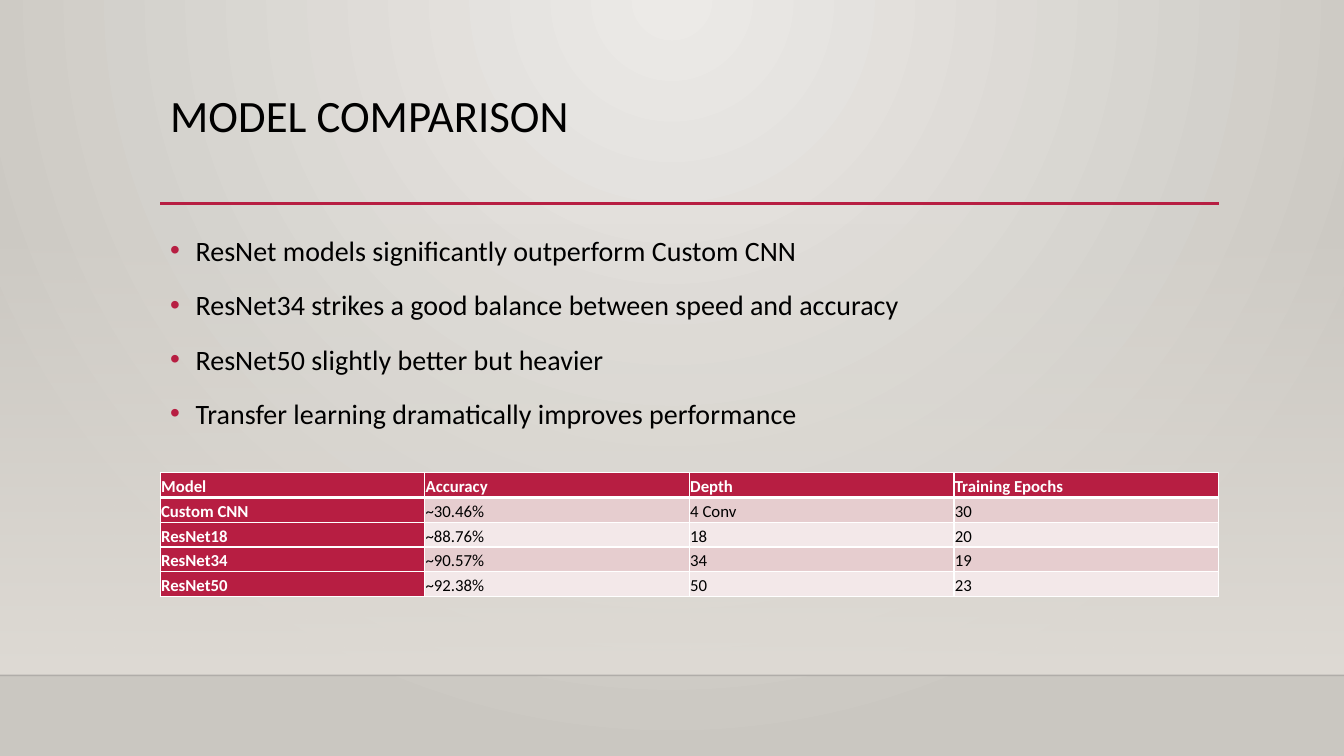
"""Build the model comparison slide with its bullet list and score table."""
import lxml.etree
import pptx
import pptx.dml.color
import pptx.enum.shapes
import pptx.enum.text
import pptx.oxml
import pptx.oxml.ns
import pptx.util
from pptx.util import Cm

HUES = {
    "red": "B71E42", "black": "000000", "white": "FFFFFF", "edge": "000001",
    "glow": "ECEAE7", "stone": "CAC7C1", "haze": "DFDBD5",
    "rose": "E6CDCF", "blush": "F3E8E9",
}
FONT = "Calibri"
LEFT, WIDTH = Cm(4.04), Cm(26.67)
POINTS = [
    "ResNet models significantly outperform Custom CNN",
    "ResNet34 strikes a good balance between speed and accuracy",
    "ResNet50 slightly better but heavier",
    "Transfer learning dramatically improves performance",
]
SCORES = [
    ["Model", "Accuracy", "Depth", "Training Epochs"],
    ["Custom CNN", "~30.46%", "4 Conv", "30"],
    ["ResNet18", "~88.76%", "18", "20"],
    ["ResNet34", "~90.57%", "34", "19"],
    ["ResNet50", "~92.38%", "50", "23"],
]


def rgb(hue):
    return pptx.dml.color.RGBColor.from_string(HUES[hue])


def node(tag, inner="", attrs=""):
    space = pptx.oxml.ns.nsdecls("a")
    return pptx.oxml.parse_xml(f"<a:{tag} {space} {attrs}>{inner}</a:{tag}>")


def tint(hue, alpha=100):
    return f'<a:srgbClr val="{HUES[hue]}"><a:alpha val="{alpha * 1000}"/></a:srgbClr>'


def blend(owner, first, last, shade):
    """Swap the solid fill of an owner for a gradient of two colours."""
    solid = owner.find(pptx.oxml.ns.qn("a:solidFill"))
    stops = f'<a:gs pos="0">{first}</a:gs><a:gs pos="100000">{last}</a:gs>'
    owner.replace(solid, node("gradFill", f"<a:gsLst>{stops}</a:gsLst>{shade}",
                              'rotWithShape="1"'))


def add_back(slide):
    slide.background.fill.solid()
    slide.background.fill.fore_color.rgb = rgb("stone")
    owner = slide.element.find(".//" + pptx.oxml.ns.qn("p:bgPr"))
    blend(owner, tint("glow"), tint("stone"),
          '<a:path path="circle"><a:fillToRect l="43000" r="43000" b="100000"/></a:path>')


def add_haze(slide, top, wide, high):
    kind = pptx.enum.shapes.MSO_SHAPE.RECTANGLE
    shape = slide.shapes.add_shape(kind, 0, top, wide, high)
    shape.shadow.inherit = False
    shape.line.fill.background()
    shape.fill.solid()
    shape.fill.fore_color.rgb = rgb("haze")
    blend(shape.element.spPr, tint("haze", 0), tint("haze"), '<a:lin ang="5400000"/>')


def add_rule(slide, left, right, y, hue, size, alpha=100):
    kind = pptx.enum.shapes.MSO_CONNECTOR.STRAIGHT
    rule = slide.shapes.add_connector(kind, left, y, right, y)
    rule.line.width = pptx.util.Pt(size)
    rule.line.color.rgb = rgb(hue)
    owner = rule.element.spPr
    color = owner.find(".//" + pptx.oxml.ns.qn("a:srgbClr"))
    color.append(node("alpha", attrs=f'val="{alpha * 1000}"'))
    owner.append(node("effectLst"))


def add_run(para, text, size, hue="black", bold=False):
    run = para.add_run()
    run.text = text
    run.font.name = FONT
    run.font.size = pptx.util.Pt(size)
    run.font.bold = bold
    run.font.color.rgb = rgb(hue)


def add_box(slide, top, high):
    frame = slide.shapes.add_textbox(LEFT, top, WIDTH, high).text_frame
    frame.word_wrap = True
    return frame


def add_title(slide, text):
    para = add_box(slide, Cm(2.24), Cm(2.92)).paragraphs[0]
    para.line_spacing = 0.9
    add_run(para, text, 32)


def add_list(slide, points):
    frame = add_box(slide, Cm(5.59), Cm(9.58))
    for i, point in enumerate(points):
        para = frame.add_paragraph() if i else frame.paragraphs[0]
        para.line_spacing = 1.2
        para.space_before = pptx.util.Pt(10)
        props = para._p.get_or_add_pPr()
        props.set("marL", str(Cm(0.64)))
        props.set("indent", str(-Cm(0.64)))
        props.append(node("buClr", tint("red")))
        props.append(node("buFont", attrs='typeface="Arial"'))
        props.append(node("buChar", attrs='char="•"'))
        add_run(para, point, 20)


def style_cell(cell, text, row, col):
    head = row == 0 or col == 0
    cell.margin_left = cell.margin_right = Cm(0.02)
    cell.margin_top = cell.margin_bottom = Cm(0.02)
    cell.vertical_anchor = pptx.enum.text.MSO_ANCHOR.MIDDLE
    sizes = {"L": 1, "R": 1, "T": 3 if row == 1 else 1, "B": 3 if row == 0 else 1}
    props = cell._tc.get_or_add_tcPr()
    for side, size in sizes.items():
        props.append(node(f"ln{side}", f"<a:solidFill>{tint('white')}</a:solidFill>",
                          f'w="{pptx.util.Pt(size)}"'))
    cell.fill.solid()
    cell.fill.fore_color.rgb = rgb("red" if head else "rose" if row % 2 else "blush")
    para = cell.text_frame.paragraphs[0]
    para.alignment = pptx.enum.text.PP_ALIGN.JUSTIFY
    para.line_spacing = 1.15
    para.space_after = pptx.util.Pt(8)
    add_run(para, text, 12, "white" if head else "black", head)


def add_scores(slide, scores):
    rows, cols = len(scores), len(scores[0])
    table = slide.shapes.add_table(rows, cols, LEFT, Cm(11.91), WIDTH, Cm(3.05)).table
    for r, line in enumerate(scores):
        for c, text in enumerate(line):
            style_cell(table.cell(r, c), text, r, c)


def main():
    deck = pptx.Presentation()
    deck.slide_width, deck.slide_height = Cm(33.87), Cm(19.05)
    slide = deck.slides.add_slide(deck.slide_layouts[6])
    floor = Cm(17.02)
    add_back(slide)
    add_haze(slide, Cm(5.61), deck.slide_width, floor - Cm(5.61))
    add_rule(slide, 0, deck.slide_width, floor, "edge", 1, 20)
    add_rule(slide, LEFT, LEFT + WIDTH, Cm(5.13), "red", 2.5)
    add_title(slide, "MODEL COMPARISON")
    add_list(slide, POINTS)
    add_scores(slide, SCORES)
    deck.save("out.pptx")


if __name__ == "__main__":
    main()
